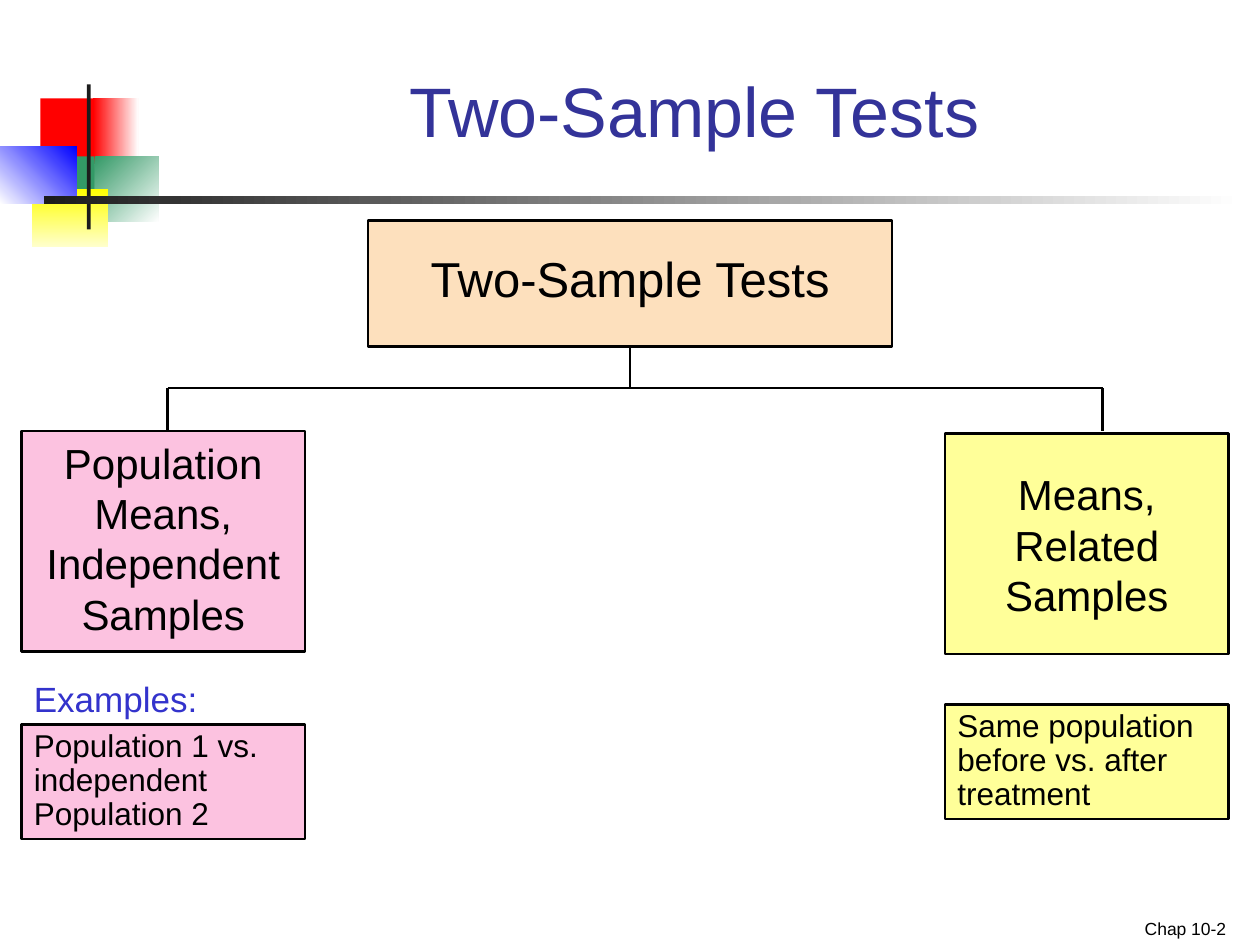
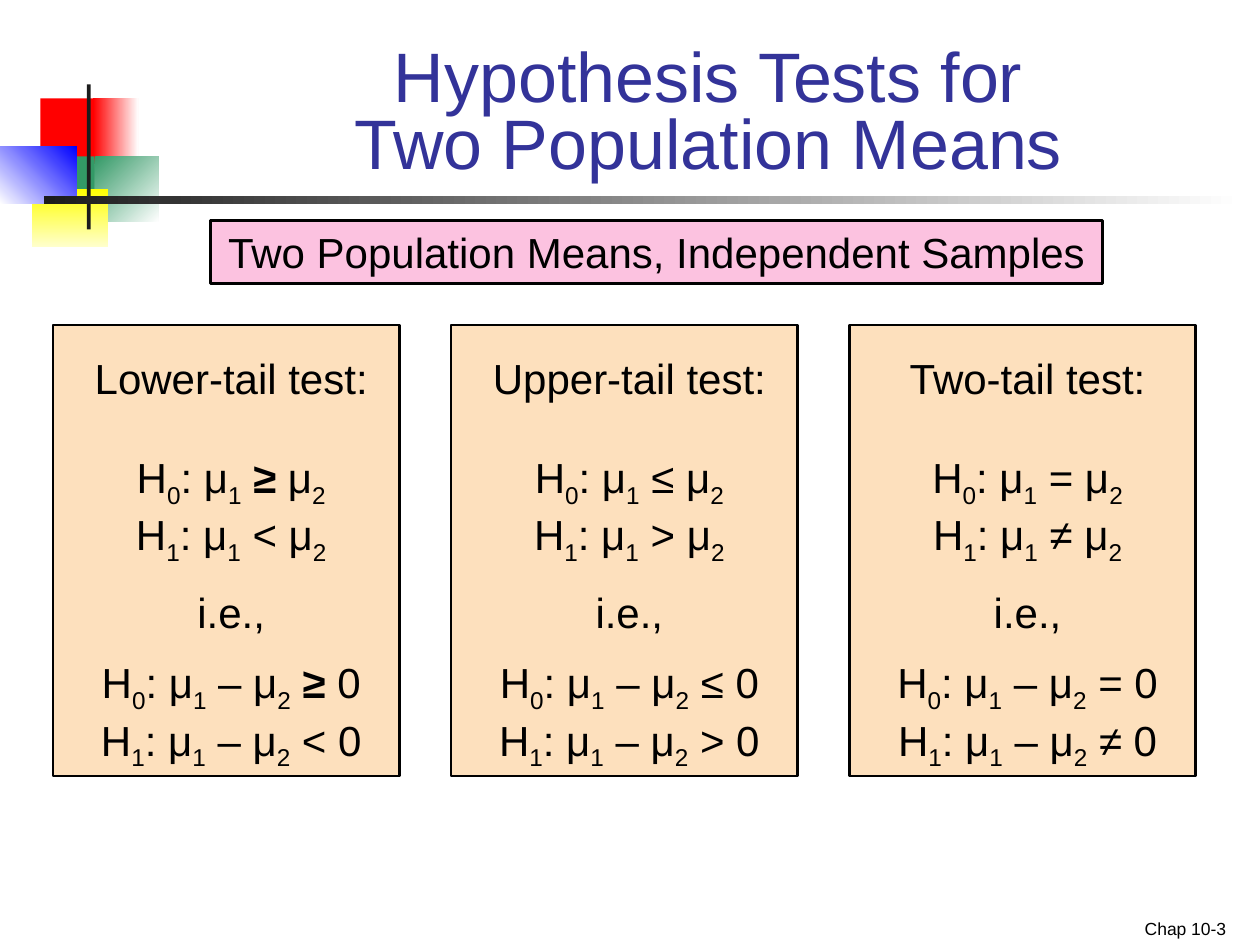
from pptx import Presentation, util as u
from pptx.dml.color import RGBColor
from pptx.enum import shapes, text
from pptx.oxml.ns import qn
from lxml import etree


class Theme:
    font = "Arial"
    ink = "000000"
    title = "333399"
    label = "3333CC"
    bar = "1C1C1C"
    peach = "FDE0BD"
    pink = "FCC2E0"
    yellow = "FFFF99"
    title_size = 40
    root_size = 28
    box_size = 24
    label_size = 20
    example_size = 18
    footer_size = 10
    line_width = 1.5


CENTER, LEFT, RIGHT = text.PP_ALIGN.CENTER, text.PP_ALIGN.LEFT, text.PP_ALIGN.RIGHT
TOP, BOTTOM = text.MSO_ANCHOR.TOP, text.MSO_ANCHOR.BOTTOM

EMBLEM = [
    ((0.32, 0.78, 0.48, 0.52), ["FF0000"], 0),
    ((0.74, 0.78, 0.36, 0.52), ["FF0000", "FFFFFF"], 0),
    ((0.75, 1.24, 0.51, 0.52), ["339966", "FFFFFF"], 45),
    ((0.43, 1.24, 0.32, 0.52), ["339966"], 0),
    ((0.25, 1.5, 0.61, 0.46), ["FFFF00", "FFFFCC"], 90),
    ((0, 1.16, 0.61, 0.46), ["FFFFFF", "0000FF"], 315),
    ((0.69, 0.67, 0.03, 1.15), [Theme.bar], 0),
    ((0.35, 1.56, 9.51, 0.06), [Theme.bar, "FFFFFF"], 0),
]
FOOTER_AREA = (7.5, 7.15, 2.33, 0.35)

OVERVIEW = {
    "title": ["Two-Sample Tests"],
    "title_area": (1.25, 0.5, 8.52, 0.75),
    "footer": "Chap 10-2",
    "root": "Two-Sample Tests",
    "branches": [
        {"name": "Population Means, Independent Samples", "fill": Theme.pink,
         "left": 0.17, "top": 3.42, "inset": 0.05, "stem": 1.33,
         "example": "Population 1 vs. independent Population 2", "example_top": 5.75},
        {"name": "Means, Related Samples", "fill": Theme.yellow,
         "left": 7.5, "top": 3.44, "inset": 0.28, "stem": 8.75,
         "example": "Same population before vs. after treatment", "example_top": 5.59},
    ],
    "label": "Examples:",
}

HYPOTHESES = {
    "title": ["Hypothesis Tests for", "Two Population Means"],
    "title_area": (1.58, 0.42, 8.08, 1.08),
    "footer": "Chap 10-3",
    "banner": "Two Population Means, Independent Samples",
    "tests": [("Lower-tail test:", "≥", "<"),
              ("Upper-tail test:", "≤", ">"),
              ("Two-tail test:", "=", "≠")],
}


def add_run(paragraph, words, size, color, bold=False, subscript=False):
    run = paragraph.add_run()
    run.text = words
    run.font.name = Theme.font
    run.font.size = u.Pt(size)
    run.font.bold = bold
    run.font.color.rgb = RGBColor.from_string(color)
    if subscript:
        run._r.get_or_add_rPr().set("baseline", "-25000")


def add_formula(paragraph, formula, size, color):
    for index, part in enumerate(formula.split("_")):
        if index:
            add_run(paragraph, part[0], size, color, subscript=True)
            part = part[1:]
        for chunk in part.partition("≥"):
            if chunk:
                add_run(paragraph, chunk, size, color, bold=chunk == "≥")


def write(frame, lines, size, color=Theme.ink, align=CENTER, spacing=None,
          anchor=TOP, insets=(0.1, 0.05, 0.1, 0.05)):
    frame.word_wrap = True
    frame.auto_size = text.MSO_AUTO_SIZE.NONE
    frame.vertical_anchor = anchor
    (frame.margin_left, frame.margin_top,
     frame.margin_right, frame.margin_bottom) = map(u.Inches, insets)
    for index, (line, space_before) in enumerate(lines):
        paragraph = frame.add_paragraph() if index else frame.paragraphs[0]
        paragraph.alignment = align
        paragraph.space_before = u.Pt(space_before)
        if spacing:
            paragraph.line_spacing = spacing
        add_formula(paragraph, line, size, color)


def add_rect(slide, area, colors, angle=0, outlined=False):
    rect = slide.shapes.add_shape(shapes.MSO_SHAPE.RECTANGLE, *map(u.Inches, area))
    rect.shadow.inherit = False
    if len(colors) == 1:
        rect.fill.solid()
        rect.fill.fore_color.rgb = RGBColor.from_string(colors[0])
    else:
        rect.fill.gradient()
        rect.fill.gradient_angle = (360 - angle) % 360
        for stop, color in zip(rect.fill.gradient_stops, colors):
            stop.color.rgb = RGBColor.from_string(color)
    if outlined:
        rect.line.color.rgb = RGBColor.from_string(Theme.ink)
        rect.line.width = u.Pt(Theme.line_width)
    else:
        rect.line.fill.background()
    return rect


def add_box(slide, area, fill, lines, size, **style):
    box = add_rect(slide, area, [fill], outlined=True)
    write(box.text_frame, lines, size, **style)
    return box


def add_text(slide, area, words, size, **style):
    label = slide.shapes.add_textbox(*map(u.Inches, area))
    write(label.text_frame, [(words, 0)], size, **style)


def add_line(slide, start, end):
    line = slide.shapes.add_connector(shapes.MSO_CONNECTOR.STRAIGHT,
                                      *map(u.Inches, start + end))
    line.line.color.rgb = RGBColor.from_string(Theme.ink)
    line.line.width = u.Pt(Theme.line_width)
    etree.SubElement(line._element.spPr, qn("a:effectLst"))
    return line


def start_slide(deck, content):
    slide = deck.slides.add_slide(deck.slide_layouts[5])
    for area, colors, angle in EMBLEM:
        add_rect(slide, area, colors, angle)
    title = slide.shapes.title
    title.left, title.top, title.width, title.height = map(u.Inches, content["title_area"])
    first, *rest = content["title"]
    write(title.text_frame, [(first, 0)], Theme.title_size, Theme.title,
          spacing=0.8, anchor=BOTTOM)
    heading = title.text_frame.paragraphs[0]
    for line in rest:
        heading.add_line_break()
        add_run(heading, line, Theme.title_size, Theme.title)
    add_text(slide, FOOTER_AREA, content["footer"], Theme.footer_size,
             align=RIGHT, anchor=BOTTOM)
    return slide


def build_overview(deck):
    slide = start_slide(deck, OVERVIEW)
    root = add_box(slide, (2.92, 1.75, 4.16, 1), Theme.peach, [(OVERVIEW["root"], 0)],
                   Theme.root_size, insets=(0.1, 0.22, 0.1, 0.05))
    fork, stem_end = 3.08, 3.42
    trunk = add_line(slide, (5, 2.75), (5, fork))
    trunk.begin_connect(root, 2)
    stems = [branch["stem"] for branch in OVERVIEW["branches"]]
    add_line(slide, (stems[0], fork), (stems[-1], fork))
    for branch in OVERVIEW["branches"]:
        add_line(slide, (branch["stem"], fork), (branch["stem"], stem_end))
        add_box(slide, (branch["left"], branch["top"], 2.25, 1.75), branch["fill"],
                [(branch["name"], 0)], Theme.box_size,
                insets=(0.18, branch["inset"], 0.18, 0.05))
        add_box(slide, (branch["left"], branch["example_top"], 2.25, 0.91), branch["fill"],
                [(branch["example"], 0)], Theme.example_size, align=LEFT, spacing=0.9)
    add_text(slide, (0.17, 5.42, 1.67, 0.34), OVERVIEW["label"], Theme.label_size,
             color=Theme.label, align=LEFT, spacing=0.7)


def build_hypotheses(deck):
    slide = start_slide(deck, HYPOTHESES)
    add_box(slide, (1.67, 1.75, 7.08, 0.5), Theme.pink, [(HYPOTHESES["banner"], 0)],
            Theme.box_size)
    left, width, gap = 0.42, 2.75, 0.41
    for column, (name, null, alternative) in enumerate(HYPOTHESES["tests"]):
        lines = [
            (name, 0),
            (f"H_0: μ_1 {null} μ_2", 27.6),
            (f"H_1: μ_1 {alternative} μ_2", 0),
            ("i.e.,", 11.5),
            (f"H_0: μ_1 – μ_2 {null} 0", 11.5),
            (f"H_1: μ_1 – μ_2 {alternative} 0", 0),
        ]
        add_box(slide, (left + column * (width + gap), 2.58, width, 3.58), Theme.peach,
                lines, Theme.box_size, insets=(0.14, 0.22, 0.06, 0.05))


def main():
    deck = Presentation()
    deck.slide_width, deck.slide_height = u.Inches(10), u.Inches(7.5)
    build_overview(deck)
    build_hypotheses(deck)
    deck.save("out.pptx")


if __name__ == "__main__":
    main()
